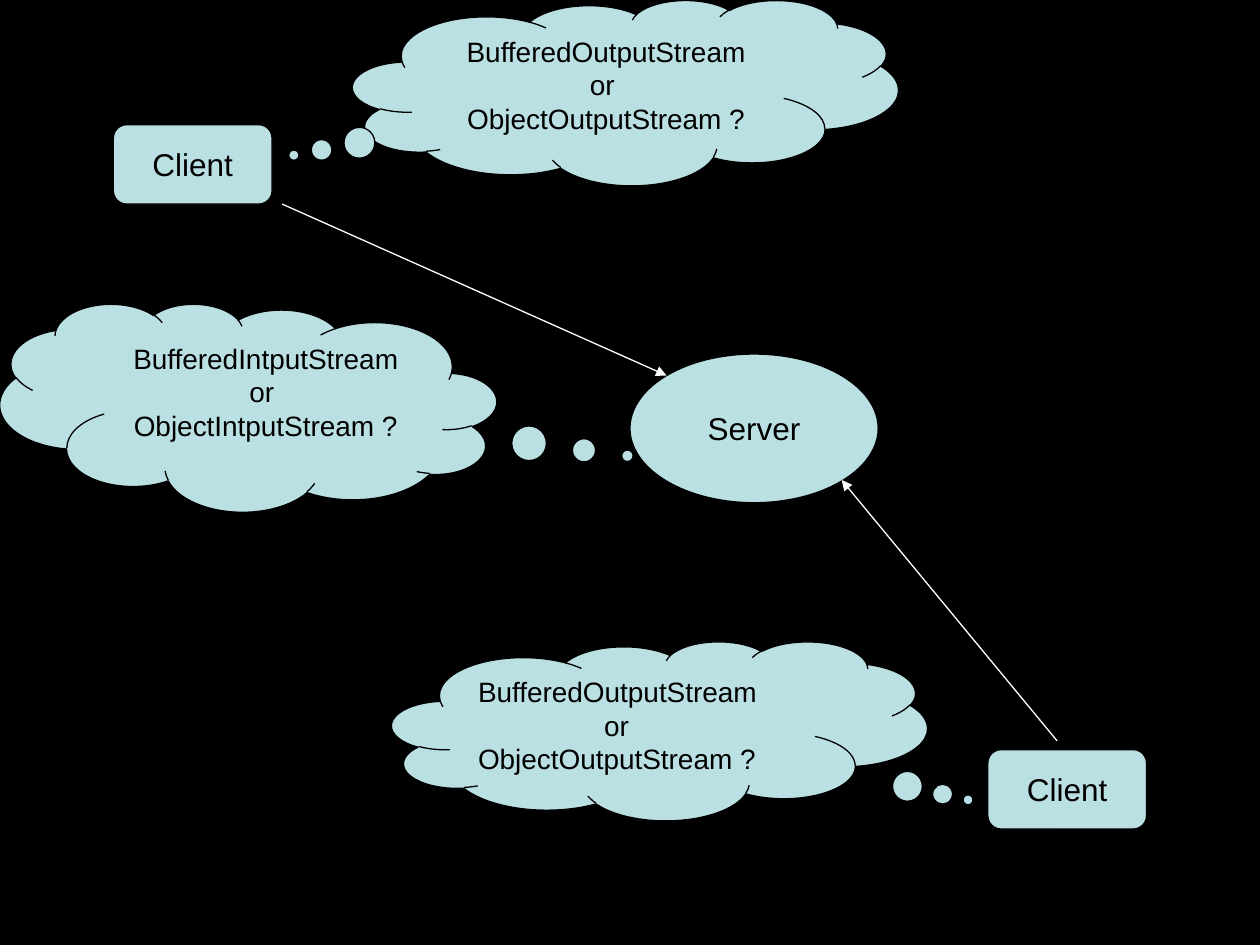
from dataclasses import dataclass

from lxml import etree
from pptx import Presentation
from pptx.dml.color import RGBColor
from pptx.enum.shapes import MSO_CONNECTOR, MSO_SHAPE
from pptx.enum.text import MSO_ANCHOR, PP_ALIGN
from pptx.oxml.ns import qn
from pptx.util import Pt

ELLIPSE, ROUNDED, CLOUD = MSO_SHAPE.OVAL, MSO_SHAPE.ROUNDED_RECTANGLE, MSO_SHAPE.CLOUD_CALLOUT
STRAIGHT = MSO_CONNECTOR.STRAIGHT
LEFT, CENTER = PP_ALIGN.LEFT, PP_ALIGN.CENTER
TOP, MIDDLE = MSO_ANCHOR.TOP, MSO_ANCHOR.MIDDLE

COLORS = {"background": "000000", "fill": "BBE0E3", "ink": "000000", "arrow": "FFFFFF"}
FONT = "Arial"
LINE_WIDTH = 0.75
TAB_STOP = 72


@dataclass(frozen=True)
class Bubble:
    kind: MSO_SHAPE
    left: float
    top: float
    width: float
    height: float
    lines: tuple[str, ...]
    adjustments: tuple[float, ...] = ()
    size: int = 18
    align: PP_ALIGN = CENTER
    anchor: MSO_ANCHOR = MIDDLE
    wrap: bool = False
    flipped: bool = False


@dataclass(frozen=True)
class Arrow:
    start: tuple[float, float]
    end: tuple[float, float]


def client(left: float, top: float) -> Bubble:
    return Bubble(ROUNDED, left, top, 90.72, 45.36, ("Client",), (0.167,))


def thought(left: float, top: float, width: float, height: float, direction: str,
            tail: tuple[float, float], separator: str = "or ",
            align: PP_ALIGN = CENTER, flipped: bool = False) -> Bubble:
    """Describe a cloud that asks which stream class to use."""
    lines = (f"Buffered{direction}Stream", separator, f"Object{direction}Stream ?")
    return Bubble(CLOUD, left, top, width, height, lines, tail, 16, align, TOP, True, flipped)


NODES = (
    Bubble(ELLIPSE, 360, 202.32, 141.84, 84.96, ("Server",)),
    client(564.48, 428.4),
    client(64.8, 71.28),
)
ARROWS = (
    Arrow((161.28, 116.64), (380.88, 214.56)),
    Arrow((604.08, 423.36), (480.96, 274.32)),
)
THOUGHTS = (
    thought(201.6, 0, 311.76, 105.84, "Output", (-0.608, 0.338)),
    thought(223.92, 366.48, 306, 102.24, "Output", (0.576, 0.386), "\tor", LEFT),
    thought(0, 173.52, 283.68, 118.8, "Intput", (-0.764, 0.232), flipped=True),
)


def color(name: str) -> RGBColor:
    return RGBColor.from_string(COLORS[name])


def add_tab_stop(para) -> None:
    properties = para._p.get_or_add_pPr()
    tabs = etree.SubElement(properties, qn("a:tabLst"))
    etree.SubElement(tabs, qn("a:tab"), pos=str(Pt(TAB_STOP)), algn="l")


def draw_bubble(page, bubble: Bubble) -> None:
    shape = page.shapes.add_shape(bubble.kind, Pt(bubble.left), Pt(bubble.top),
                                  Pt(bubble.width), Pt(bubble.height))
    shape.shadow.inherit = False
    for index, value in enumerate(bubble.adjustments):
        shape.adjustments[index] = value
    if bubble.flipped:
        shape._element.spPr.find(qn("a:xfrm")).set("flipH", "1")
    shape.fill.solid()
    shape.fill.fore_color.rgb = color("fill")
    shape.line.color.rgb = color("ink")
    shape.line.width = Pt(LINE_WIDTH)

    frame = shape.text_frame
    frame.word_wrap = bubble.wrap
    frame.vertical_anchor = bubble.anchor
    frame.text = "\n".join(bubble.lines)
    for para in frame.paragraphs:
        para.alignment = bubble.align
        if "\t" in para.text:
            add_tab_stop(para)
        para.font.name = FONT
        para.font.size = Pt(bubble.size)
        para.font.color.rgb = color("ink")


def draw_arrow(page, arrow: Arrow) -> None:
    points = [Pt(value) for value in arrow.start + arrow.end]
    connector = page.shapes.add_connector(STRAIGHT, *points)
    connector.line.color.rgb = color("arrow")
    connector.line.width = Pt(LINE_WIDTH)
    etree.SubElement(connector.line._get_or_add_ln(), qn("a:tailEnd"), type="triangle")
    etree.SubElement(connector._element.spPr, qn("a:effectLst"))


def main() -> None:
    deck = Presentation()
    deck.slide_width, deck.slide_height = Pt(720), Pt(540)
    page = deck.slides.add_slide(deck.slide_layouts[6])
    page.background.fill.solid()
    page.background.fill.fore_color.rgb = color("background")
    for node in NODES:
        draw_bubble(page, node)
    for arrow in ARROWS:
        draw_arrow(page, arrow)
    for cloud in THOUGHTS:
        draw_bubble(page, cloud)
    deck.save("out.pptx")


if __name__ == "__main__":
    main()
